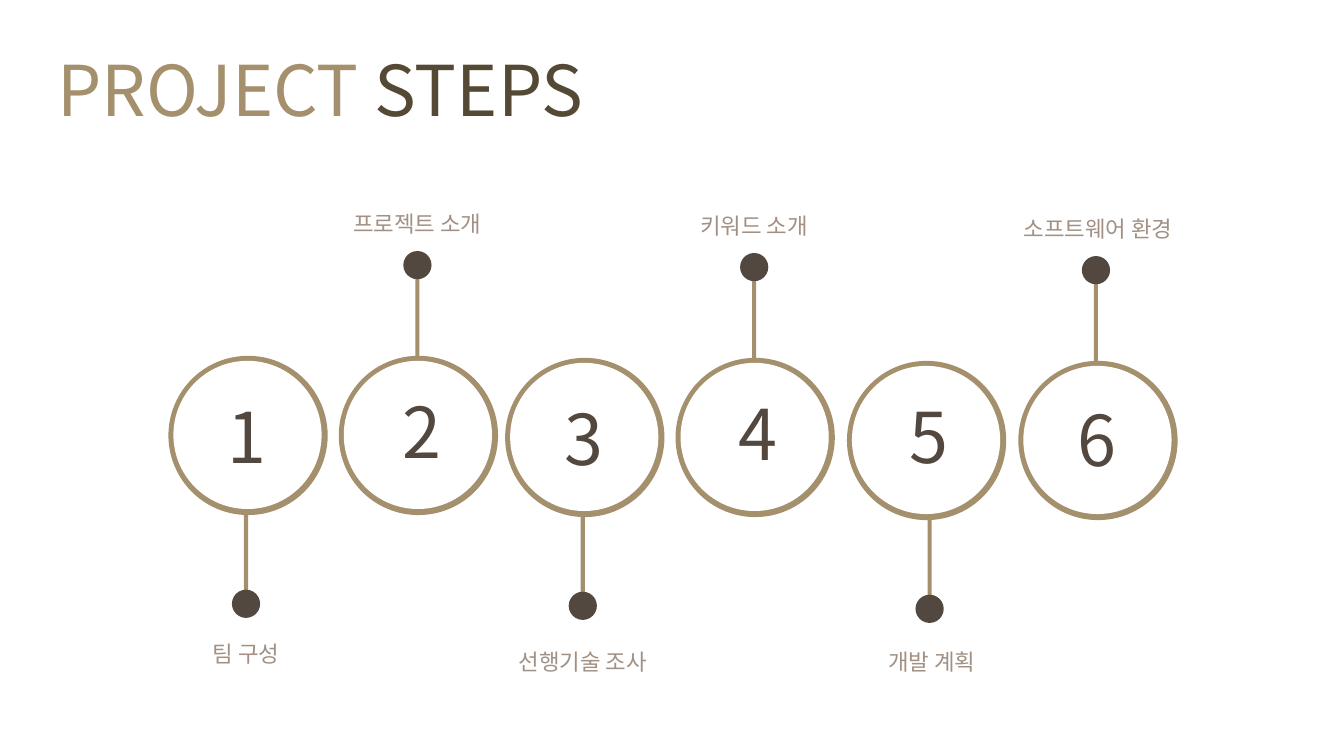
from lxml import etree
from pptx import Presentation
from pptx import util as u
from pptx.dml.color import RGBColor
from pptx.enum import shapes, text
from pptx.oxml.ns import qn

PX = 9144
FONT = "Noto Sans CJK KR"
COLORS = {"gold": "A4906C", "olive": "544934", "brown": "53483F",
          "taupe": "A19083", "white": "FFFFFF"}
RING, RIM, HOLE, DOT = 158, 5, 147, 28
STEM_W, STEM_H = 4, 105
LABEL_W, LABEL_H = 242, 39
OFFSETS = {"up": {"stem": -92, "dot": -104}, "down": {"stem": 142, "dot": 232}}

# ring x, ring y, direction, stem centre, label centre, label y, digit x, digit y, label
STEPS = [
    (167, 353, "down", 244, 244, 626, 213, 386, "팀 구성"),
    (336, 353, "up", 414, 414, 199, 387, 381, "프로젝트 소개"),
    (501, 355, "down", 578, 578, 634, 547, 387, "선행기술 조사"),
    (670, 355, "up", 748, 748, 201, 720, 383, "키워드 소개"),
    (840, 358, "down", 922, 924, 634, 889, 386, "개발 계획"),
    (1010, 358, "up", 1087, 1089, 204, 1056, 388, "소프트웨어 환경"),
]


def add_shape(s, kind, x, y, w, h, color):
    """Add a flat preset shape without outline."""
    sp = s.shapes.add_shape(kind, *(v * PX for v in (x, y, w, h)))
    sp.shadow.inherit = False
    sp.fill.solid()
    sp.fill.fore_color.rgb = RGBColor.from_string(COLORS[color])
    sp.line.fill.background()
    return sp


def format_run(r, size, color):
    """Set the size, colour and Latin and East Asian font of a run."""
    r.font.size = u.Pt(size)
    r.font.name = FONT
    r.font.color.rgb = RGBColor.from_string(COLORS[color])
    ea = etree.SubElement(r.font._element, qn("a:ea"))
    ea.set("typeface", FONT)


def add_text(s, x, y, w, h, runs, size, align, wrap=True):
    """Add a one-paragraph text box from (text, colour) runs."""
    tf = s.shapes.add_textbox(*(v * PX for v in (x, y, w, h))).text_frame
    tf.word_wrap = wrap
    tf.auto_size = text.MSO_AUTO_SIZE.SHAPE_TO_FIT_TEXT
    p = tf.paragraphs[0]
    p.alignment = align
    for words, color in runs:
        r = p.add_run()
        r.text = words
        format_run(r, size, color)
    return p


def add_title(s, x, y, w, h):
    """Add the two-colour title in its box."""
    add_text(s, x, y, w, h, [("PROJECT ", "gold"), ("STEPS", "olive")],
             50, text.PP_ALIGN.LEFT)


def add_step(s, number, x, y, side, stem_x, label_x, label_y, digit_x, digit_y, label):
    """Add a numbered ring with its stem, dot and label."""
    oval = shapes.MSO_SHAPE.OVAL
    center = text.PP_ALIGN.CENTER
    offset = OFFSETS[side]
    stem = add_shape(s, shapes.MSO_SHAPE.ROUNDED_RECTANGLE, stem_x - STEM_W // 2,
                     y + offset["stem"], STEM_W, STEM_H, "gold")
    stem.adjustments[0] = 0.5
    add_shape(s, oval, x, y, RING, RING, "gold")
    add_shape(s, oval, x + RIM, y + RIM, HOLE, HOLE, "white")
    add_shape(s, oval, stem_x - DOT // 2, y + offset["dot"], DOT, DOT, "brown")
    add_text(s, digit_x, digit_y, 64, 94, [(str(number), "brown")], 50, center, wrap=False)
    p = add_text(s, label_x - LABEL_W // 2, label_y, LABEL_W, LABEL_H,
                 [(label, "taupe")], 16, center)
    p.line_spacing = u.Pt(22.2)


def main():
    """Build the project steps slide."""
    prs = Presentation()
    prs.slide_width, prs.slide_height = 1333 * PX, 750 * PX
    s = prs.slides.add_slide(prs.slide_layouts[6])
    add_title(s, 47, 41, 574, 94)
    for number, step in enumerate(STEPS, 1):
        add_step(s, number, *step)
    prs.save("out.pptx")


if __name__ == "__main__":
    main()
